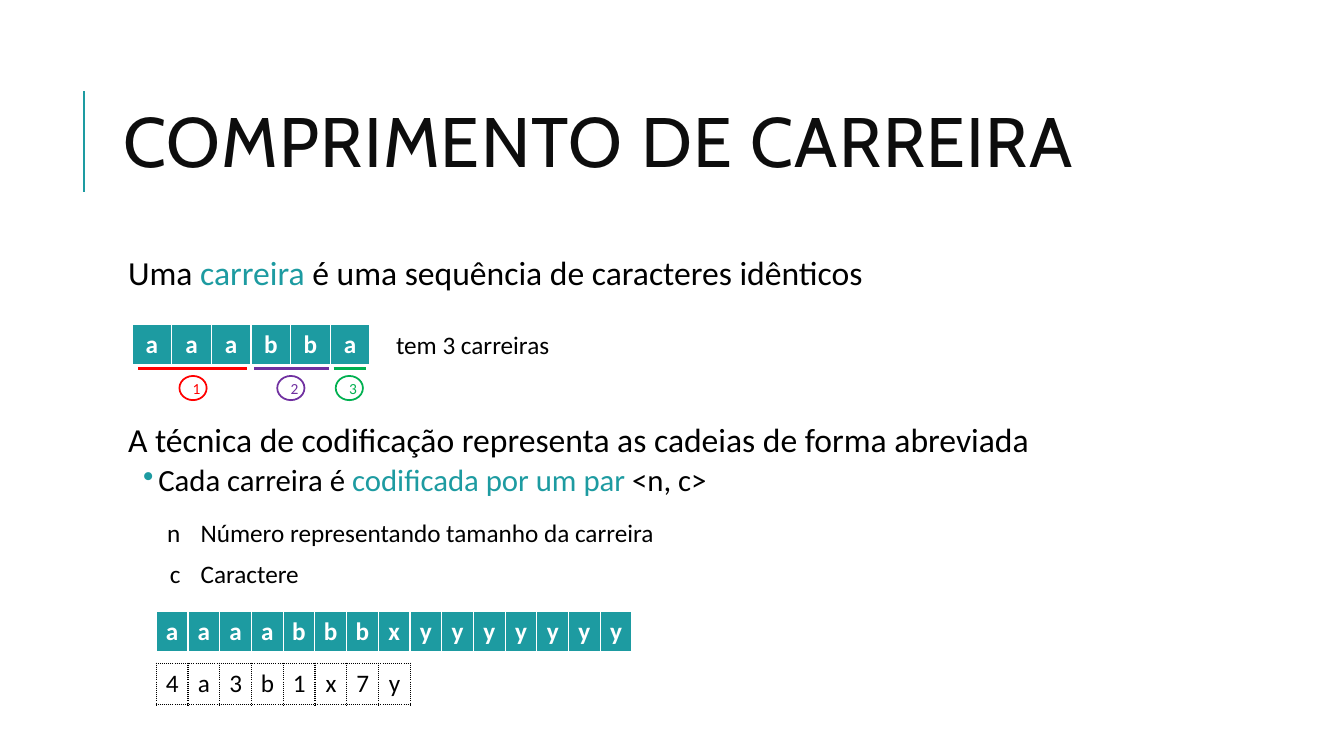
"""Build the run-length encoding slide."""
from dataclasses import dataclass

from lxml import etree
from pptx import Presentation
from pptx.dml.color import RGBColor
from pptx.enum.shapes import MSO_CONNECTOR, MSO_SHAPE
from pptx.enum.text import MSO_ANCHOR, MSO_AUTO_SIZE, PP_ALIGN
from pptx.oxml.ns import qn
from pptx.util import Pt

STRAIGHT, OVAL = MSO_CONNECTOR.STRAIGHT, MSO_SHAPE.OVAL
MIDDLE, NO_AUTOFIT = MSO_ANCHOR.MIDDLE, MSO_AUTO_SIZE.NONE
LEFT, CENTER, RIGHT = PP_ALIGN.LEFT, PP_ALIGN.CENTER, PP_ALIGN.RIGHT
PX = 9144
TITLE_ONLY = 5


@dataclass(frozen=True)
class Theme:
    heading_font: str = "Cabin"
    body_font: str = "Calibri"
    accent: str = "1D9BA1"
    heading: str = "0D0D0D"
    black: str = "000000"
    white: str = "FFFFFF"
    title_size: int = 50
    lead_size: int = 24
    bullet_size: int = 22
    text_size: int = 18
    badge_size: int = 11


THEME = Theme()

TITLE = "COMPRIMENTO DE CARREIRA"
LEAD = [("Uma ", THEME.black), ("carreira", THEME.accent),
        (" é uma sequência de caracteres idênticos", THEME.black)]
TECHNIQUE = [("A técnica de codificação representa as cadeias de forma abreviada", THEME.black)]
PAIR = [("Cada carreira é ", THEME.black), ("codificada por um par ", THEME.accent),
        ("<n, c>", THEME.black)]
# Each paragraph: runs, size, left margin px, first-line indent px, points before, points after, bullet
PARAGRAPHS = [
    (LEAD, THEME.lead_size, 10, 0, 12, 2, None),
    (TECHNIQUE, THEME.lead_size, 10, 0, 91, 2, None),
    (PAIR, THEME.bullet_size, 40, -15, 2, 4, "•"),
]
RUN_COUNT = "tem 3 carreiras"
# Each career: line start, line end, badge left, colour
CAREERS = [(137, 245, 178, "FF0000"), (252, 326, 275, "7030A0"), (331, 363, 333, "00B050")]
LEGEND = [("n", "Número representando tamanho da carreira"), ("c", "Caractere")]
WHITE_EDGES = {"L": (THEME.white, 1, "solid"), "R": (THEME.white, 1, "solid"),
               "T": (THEME.white, 1, "solid"), "B": (THEME.white, 3, "solid")}
DOTTED_EDGES = dict.fromkeys("LRTB", (THEME.black, 1, "sysDot"))
NO_EDGES = dict.fromkeys("LRTB")
# Each strip: characters, left, top, width, fill, text colour, edges
STRIPS = [
    ("aaabba", 131, 322, 236, THEME.accent, THEME.white, WHITE_EDGES),
    ("aaaabbbxyyyyyyy", 155, 607, 472, THEME.accent, THEME.white, WHITE_EDGES),
    ("4a3b1x7y", 155, 658, 252, None, THEME.black, DOTTED_EDGES),
]
ROW_HEIGHT = 41


def box(*lengths):
    return [length * PX for length in lengths]


def style_run(run, size, color, font=THEME.body_font, bold=False):
    run.font.size, run.font.name, run.font.bold = Pt(size), font, bold
    run.font.color.rgb = RGBColor.from_string(color)


def add_line(slide, start, end, color, width):
    line = slide.shapes.add_connector(STRAIGHT, *box(*start, *end))
    line.line.color.rgb = RGBColor.from_string(color)
    line.line.width = Pt(width)
    etree.SubElement(line._element.spPr, qn("a:effectLst"))


def add_edges(cell, edges):
    properties = cell._tc.get_or_add_tcPr()
    for index, (side, edge) in enumerate(edges.items()):
        line = etree.Element(qn(f"a:ln{side}"))
        if edge:
            color, width, dash = edge
            line.set("w", str(Pt(width)))
            fill = etree.SubElement(line, qn("a:solidFill"))
            etree.SubElement(fill, qn("a:srgbClr"), val=color)
            etree.SubElement(line, qn("a:prstDash"), val=dash)
        else:
            etree.SubElement(line, qn("a:noFill"))
        properties.insert(index, line)


def add_table(slide, rows, left, top, widths, alignments, fill, color, edges, margin=None):
    table = slide.shapes.add_table(
        len(rows), len(widths),
        *box(left, top, sum(widths), ROW_HEIGHT * len(rows))).table
    table.first_row = table.horz_banding = False
    for column, width in zip(table.columns, widths):
        column.width = round(width * PX)
    for row_index, row in enumerate(rows):
        table.rows[row_index].height = ROW_HEIGHT * PX
        for column_index, text in enumerate(row):
            cell = table.cell(row_index, column_index)
            if margin is not None:
                cell.margin_left = cell.margin_right = margin * PX
            if fill:
                cell.fill.solid()
                cell.fill.fore_color.rgb = RGBColor.from_string(fill)
            else:
                cell.fill.background()
            add_edges(cell, edges)
            paragraph = cell.text_frame.paragraphs[0]
            paragraph.text = text
            paragraph.alignment = alignments[column_index]
            style_run(paragraph.runs[0], THEME.text_size, color, bold=bool(fill))


def add_title(slide):
    title = slide.shapes.title
    title.left, title.top, title.width, title.height = box(112, 64, 1063, 164)
    frame = title.text_frame
    frame.text = TITLE
    frame.auto_size, frame.vertical_anchor = NO_AUTOFIT, MIDDLE
    paragraph = frame.paragraphs[0]
    paragraph.alignment, paragraph.line_spacing = LEFT, 0.8
    style_run(paragraph.runs[0], THEME.title_size, THEME.heading, THEME.heading_font)
    paragraph.runs[0].font._element.set("spc", "100")
    add_line(slide, (83, 190), (83, 90), THEME.accent, 1.5)


def add_body(slide):
    frame = slide.shapes.add_textbox(*box(112, 250, 1063, 440)).text_frame
    frame.word_wrap = True
    frame.margin_left = frame.margin_right = frame.margin_top = frame.margin_bottom = 5 * PX
    for index, (runs, size, margin, indent, before, after, bullet) in enumerate(PARAGRAPHS):
        paragraph = frame.add_paragraph() if index else frame.paragraphs[0]
        paragraph.line_spacing = 0.9
        paragraph.space_before, paragraph.space_after = Pt(before), Pt(after)
        for text, color in runs:
            run = paragraph.add_run()
            run.text = text
            style_run(run, size, color)
        properties = paragraph._p.get_or_add_pPr()
        properties.set("marL", str(margin * PX))
        properties.set("indent", str(indent * PX))
        if bullet:
            paragraph.level = 1
            color = etree.SubElement(properties, qn("a:buClr"))
            etree.SubElement(color, qn("a:srgbClr"), val=THEME.accent)
            etree.SubElement(properties, qn("a:buChar"), char=bullet)


def add_careers(slide):
    label = slide.shapes.add_textbox(*box(383, 322, 173, 40)).text_frame
    label.text = RUN_COUNT
    style_run(label.paragraphs[0].runs[0], THEME.text_size, THEME.black)
    for number, (start, end, badge_left, color) in enumerate(CAREERS, 1):
        add_line(slide, (start, 366), (end, 366), color, 2.25)
        badge = slide.shapes.add_shape(OVAL, *box(badge_left, 373, 27, 24))
        badge.shadow.inherit = False
        badge.fill.solid()
        badge.fill.fore_color.rgb = RGBColor.from_string(THEME.white)
        badge.line.color.rgb = RGBColor.from_string(color)
        badge.line.width = Pt(1.25)
        badge.text_frame.text = str(number)
        badge.text_frame.vertical_anchor = MIDDLE
        paragraph = badge.text_frame.paragraphs[0]
        paragraph.alignment = CENTER
        style_run(paragraph.runs[0], THEME.badge_size, color)


def main():
    presentation = Presentation()
    presentation.slide_width, presentation.slide_height = box(1333, 750)
    slide = presentation.slides.add_slide(presentation.slide_layouts[TITLE_ONLY])
    add_title(slide)
    add_body(slide)
    for characters, left, top, width, fill, color, edges in STRIPS:
        count = len(characters)
        add_table(slide, [characters], left, top, [width / count] * count,
                  [CENTER] * count, fill, color, edges, margin=2)
    add_table(slide, LEGEND, 147, 509, [42, 556], [RIGHT, LEFT], None, THEME.black, NO_EDGES)
    add_careers(slide)
    presentation.save("out.pptx")


if __name__ == "__main__":
    main()
